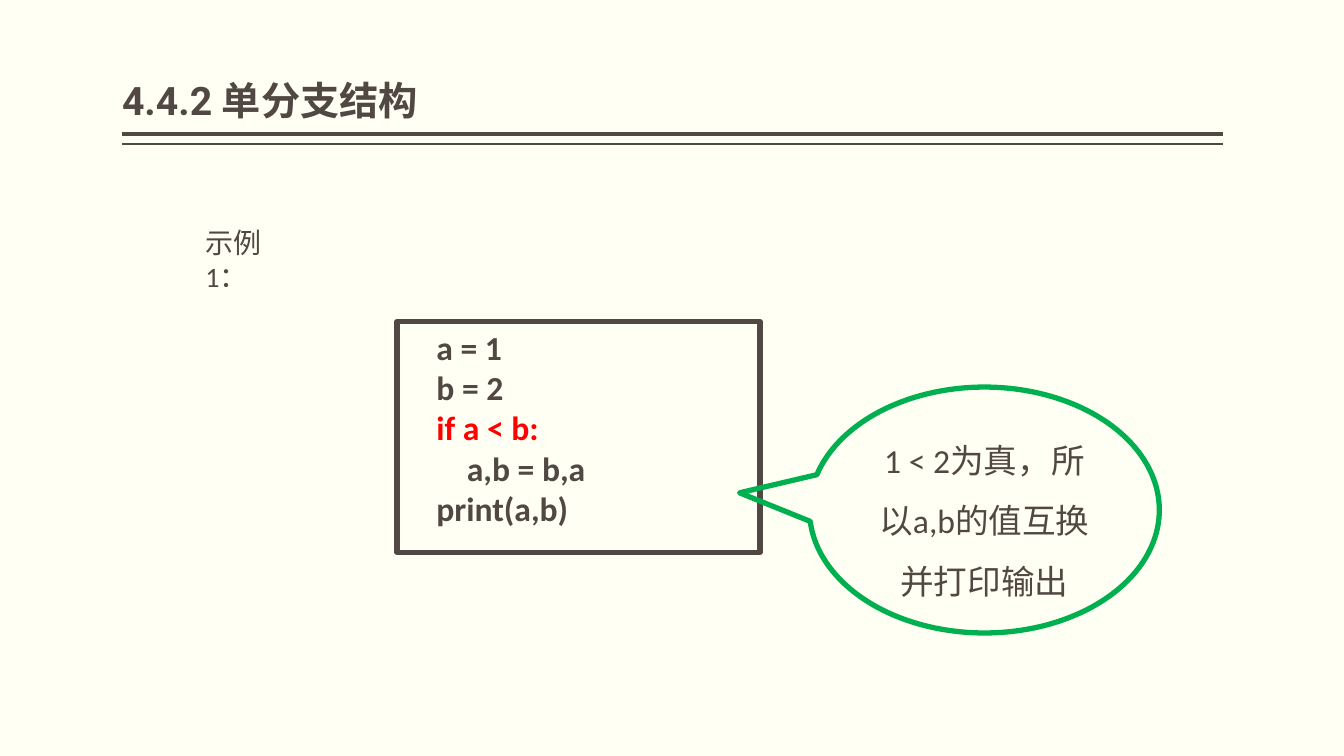
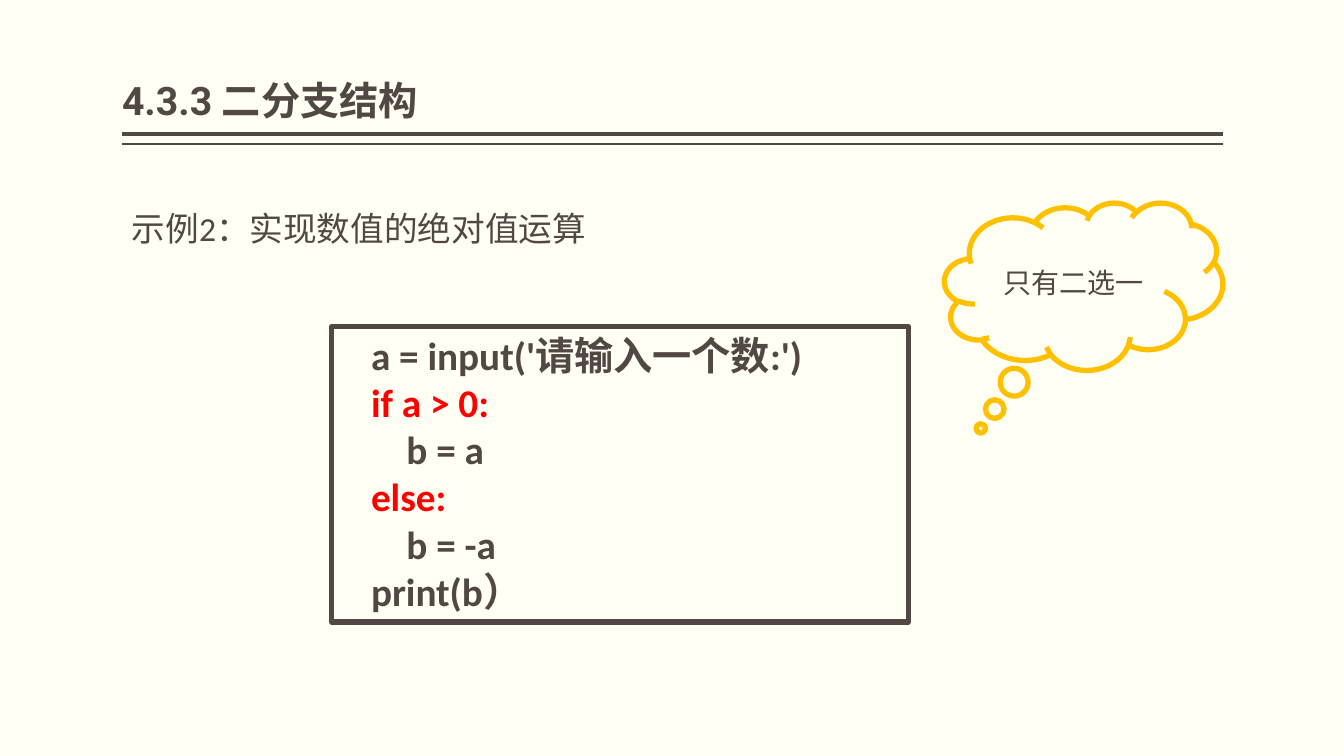
import pptx
import pptx.dml.color
import pptx.enum.shapes
import pptx.enum.text
import pptx.oxml
import pptx.util
import lxml.etree

RGBColor = pptx.dml.color.RGBColor
MSO_SHAPE = pptx.enum.shapes.MSO_SHAPE
PP_ALIGN = pptx.enum.text.PP_ALIGN
MSO_ANCHOR = pptx.enum.text.MSO_ANCHOR
Pt = pptx.util.Pt
Inches = pptx.util.Inches

INK = RGBColor(0x51, 0x48, 0x43)
PAPER = RGBColor(0xFF, 0xFF, 0xF3)
KEYWORD = RGBColor(0xFF, 0x00, 0x00)
GREEN = RGBColor(0x00, 0xB0, 0x50)
AMBER = RGBColor(0xFF, 0xC0, 0x00)

BODY_FONT = "Calibri"
TITLE_FONT = "Roboto"
OUTLINE = 3.78
CODE_INDENT = 0.39

WIDTH, HEIGHT = Inches(13.33), Inches(7.5)
COL, ROW = WIDTH / 100, HEIGHT / 100
TITLE_BOX = (9.08, 1.07, 81.9, 16)
RULES = ((17.73, 3), (19.07, 1))


def grid(box):
    left, top, width, height = box
    return round(left * COL), round(top * ROW), round(width * COL), round(height * ROW)


def add_run(p, text, size, color=INK, bold=False, font=BODY_FONT):
    r = p.add_run()
    r.text = text
    r.font.name = font
    r.font.size = Pt(size)
    r.font.bold = bold
    r.font.color.rgb = color


def add_title(s, text):
    sp = s.shapes.title
    sp.left, sp.top, sp.width, sp.height = grid(TITLE_BOX)
    tf = sp.text_frame
    tf.auto_size = pptx.enum.text.MSO_AUTO_SIZE.NONE
    tf.word_wrap = True
    tf.vertical_anchor = MSO_ANCHOR.BOTTOM
    tf.margin_left = tf.margin_right = 0
    p = tf.paragraphs[0]
    p.alignment = PP_ALIGN.LEFT
    p.line_spacing = 0.9
    add_run(p, text, 28, bold=True, font=TITLE_FONT)


def add_rules(s):
    left, _, width, _ = grid(TITLE_BOX)
    for row, weight in RULES:
        y = round(row * ROW)
        line = s.shapes.add_connector(
            pptx.enum.shapes.MSO_CONNECTOR.STRAIGHT, left + width, y, left, y)
        line.line.color.rgb = INK
        line.line.width = Pt(weight)
        lxml.etree.SubElement(line.element.spPr, pptx.oxml.ns.qn("a:effectLst"))


def add_outline(s, kind, box, color):
    sp = s.shapes.add_shape(kind, *grid(box))
    sp.shadow.inherit = False
    sp.fill.background()
    sp.line.color.rgb = color
    sp.line.width = Pt(OUTLINE)
    sp.text_frame.word_wrap = True
    return sp


def add_code(s, box, lines, size):
    tf = add_outline(s, MSO_SHAPE.RECTANGLE, box, INK).text_frame
    tf.vertical_anchor = MSO_ANCHOR.TOP
    tf.margin_left = Inches(CODE_INDENT)
    for i, text in enumerate(lines):
        p = tf.add_paragraph() if i else tf.paragraphs[0]
        p.alignment = PP_ALIGN.LEFT
        color = KEYWORD if text.endswith(":") else INK
        add_run(p, text, size, color, bold=True)


def add_label(s, box, text, size):
    tf = s.shapes.add_textbox(*grid(box)).text_frame
    tf.word_wrap = True
    add_run(tf.paragraphs[0], text, size)


def add_callout(s, kind, box, pointer, color, text, size, spacing):
    sp = add_outline(s, kind, box, color)
    for i, value in enumerate(pointer):
        sp.adjustments[i] = value
    tf = sp.text_frame
    tf.vertical_anchor = MSO_ANCHOR.MIDDLE
    p = tf.paragraphs[0]
    p.alignment = PP_ALIGN.CENTER
    p.line_spacing = spacing
    add_run(p, text, size)


def add_example(prs, title, code, label, callout):
    s = prs.slides.add_slide(prs.slide_layouts[5])
    add_rules(s)
    add_title(s, title)
    add_code(s, *code)
    add_label(s, *label)
    add_callout(s, *callout)


def main():
    prs = pptx.Presentation()
    prs.slide_width, prs.slide_height = WIDTH, HEIGHT
    fill = prs.slide_master.background.fill
    fill.solid()
    fill.fore_color.rgb = PAPER

    add_example(
        prs,
        "4.4.2 单分支结构",
        ((29.55, 42.53, 27, 30.53),
         ["a = 1", "b = 2", "if a < b:", "    a,b = b,a", "print(a,b)"], 24),
        ((14.55, 29.2, 7.73, 5.87), "示例1：", 20),
        (MSO_SHAPE.OVAL_CALLOUT, (60.23, 51.2, 26.03, 32.53), (-0.7, -0.07),
         GREEN, "1 < 2为真，所以a,b的值互换并打印输出", 24, 1.5),
    )
    add_example(
        prs,
        "4.3.3 二分支结构",
        ((24.68, 43.2, 42.9, 39.07),
         ["a = input('请输入一个数:')", "if a > 0:", "    b = a",
          "else:", "    b = -a", "print(b）"], 28),
        ((9.08, 26.8, 35.78, 6.67), "示例2：实现数值的绝对值运算", 24),
        (MSO_SHAPE.CLOUD_CALLOUT, (70.28, 26.8, 20.7, 22.13), (-0.37, 0.85),
         AMBER, "只有二选一", 20, 1.0),
    )
    prs.save("out.pptx")


if __name__ == "__main__":
    main()
